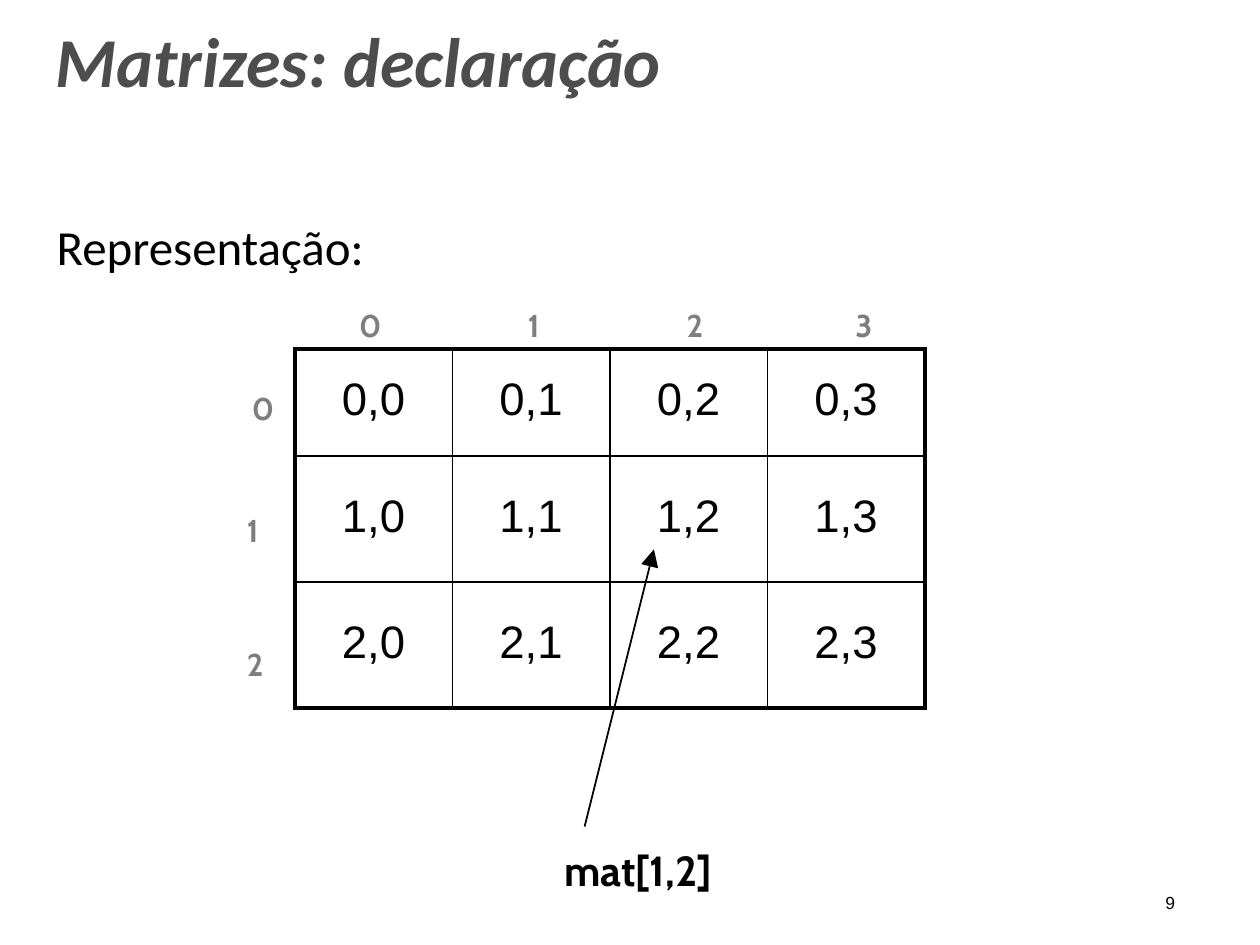
from typing import NamedTuple

from lxml.etree import SubElement
from pptx import Presentation
from pptx.dml.color import RGBColor
from pptx.enum.shapes import MSO_CONNECTOR as Connector
from pptx.enum.text import MSO_ANCHOR as Anchor, PP_ALIGN as Align
from pptx.oxml.ns import qn
from pptx.util import Inches, Pt

BLACK = RGBColor(0x00, 0x00, 0x00)
GRAY = RGBColor(0x7E, 0x7E, 0x7E)
DARK_GRAY = RGBColor(0x4D, 0x4D, 0x4D)

ROW_HEIGHTS = (0.85, 1, 1)
COLUMN_WIDTH = 1.25
COLUMN_COUNT = 4
THIN, THICK = 1, 2.25


class Label(NamedTuple):
    text: str
    left: float
    top: float
    width: float
    height: float
    size: float
    font: str
    color: RGBColor
    bold: bool = False
    italic: bool = False


def index_label(index: int, left: float, top: float) -> Label:
    return Label(str(index), left, top, 0.2, 0.33, 18, "Cabin", GRAY, bold=True)


def add_run(paragraph, text: str, size: float, font: str, color: RGBColor):
    run = paragraph.add_run()
    run.text = text
    run.font.size = Pt(size)
    run.font.name = font
    run.font.color.rgb = color
    return run


def add_label(slide, label: Label) -> None:
    box = slide.shapes.add_textbox(Inches(label.left), Inches(label.top),
                                   Inches(label.width), Inches(label.height))
    frame = box.text_frame
    frame.word_wrap = True
    frame.margin_left = frame.margin_top = Inches(0.01)
    frame.margin_right = frame.margin_bottom = 0
    run = add_run(frame.paragraphs[0], label.text, label.size, label.font, label.color)
    run.font.bold = label.bold
    run.font.italic = label.italic


def set_border(cell, side: str, width: float) -> None:
    line = SubElement(cell._tc.get_or_add_tcPr(), qn(f"a:ln{side}"), w=str(Pt(width)))
    fill = SubElement(line, qn("a:solidFill"))
    SubElement(fill, qn("a:srgbClr"), val=str(BLACK))


def add_matrix(slide, left: float, top: float) -> None:
    row_count = len(ROW_HEIGHTS)
    table = slide.shapes.add_table(
        row_count, COLUMN_COUNT, Inches(left), Inches(top),
        Inches(COLUMN_WIDTH * COLUMN_COUNT), Inches(sum(ROW_HEIGHTS))).table
    table.first_row = table.horz_banding = False
    for column in table.columns:
        column.width = Inches(COLUMN_WIDTH)
    for i, height in enumerate(ROW_HEIGHTS):
        table.rows[i].height = Inches(height)
        for j in range(COLUMN_COUNT):
            cell = table.cell(i, j)
            cell.margin_left = cell.margin_right = cell.margin_bottom = 0
            cell.margin_top = Inches(0.2 if i == 0 else 0.28)
            cell.vertical_anchor = Anchor.TOP
            # Thick lines only on the outer edge
            outer_sides = {"L": j == 0, "R": j == COLUMN_COUNT - 1,
                           "T": i == 0, "B": i == row_count - 1}
            for side, is_outer in outer_sides.items():
                set_border(cell, side, THICK if is_outer else THIN)
            cell.fill.background()
            paragraph = cell.text_frame.paragraphs[0]
            paragraph.alignment = Align.CENTER
            add_run(paragraph, f"{i},{j}", 26, "Arial", BLACK)


def add_arrow(slide, start: tuple[float, float], end: tuple[float, float]) -> None:
    arrow = slide.shapes.add_connector(Connector.STRAIGHT, *map(Inches, start + end))
    arrow.line.color.rgb = BLACK
    arrow.line.width = Pt(1)
    SubElement(arrow.line._get_or_add_ln(), qn("a:tailEnd"),
               type="triangle", w="lg", len="lg")
    SubElement(arrow._element.spPr, qn("a:effectLst"))


def main() -> None:
    presentation = Presentation()
    presentation.slide_width = Inches(10)
    presentation.slide_height = Inches(7.5)
    slide = presentation.slides.add_slide(presentation.slide_layouts[6])

    # Title and heading
    add_label(slide, Label("Matrizes: declaração", 0.43, 0.13, 5.2, 0.7, 40,
                           "Calibri", DARK_GRAY, bold=True, italic=True))
    add_label(slide, Label("Representação:", 0.44, 1.71, 2.59, 0.5, 28,
                           "Calibri", BLACK))

    # Matrix with its column and row indices
    for index, left in enumerate((2.84, 4.18, 5.44, 6.78)):
        add_label(slide, index_label(index, left, 2.42))
    add_matrix(slide, 2.34, 2.77)
    for index, (left, top) in enumerate(((1.99, 3.08), (1.95, 4.05), (1.95, 5.11))):
        add_label(slide, index_label(index, left, top))

    # Pointer to one element
    add_arrow(slide, (4.64, 6.56), (5.19, 4.36))
    add_label(slide, Label("mat[1,2]", 4.47, 6.69, 1.51, 0.43, 24,
                           "Cabin", BLACK, bold=True))

    # Slide number
    add_label(slide, Label("9", 9.24, 7.07, 0.2, 0.18, 10, "Arial", BLACK))

    presentation.save("out.pptx")


if __name__ == "__main__":
    main()
